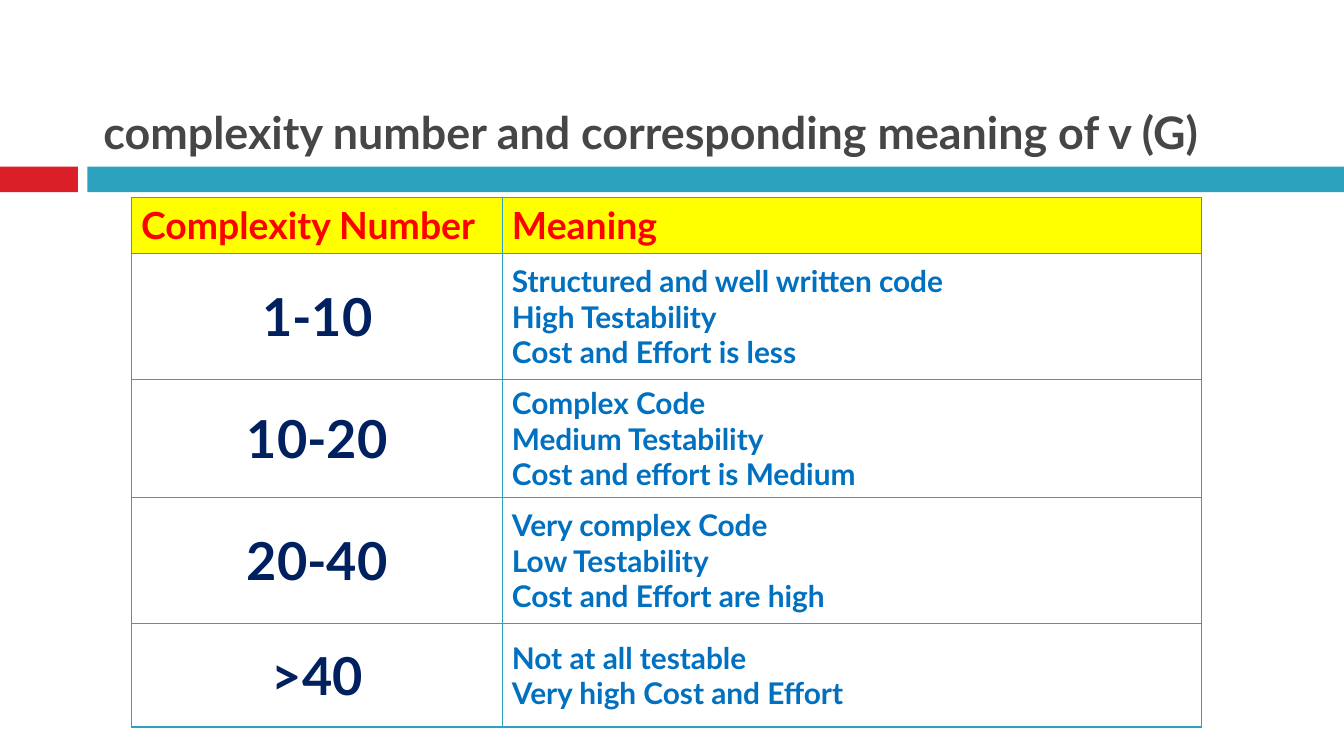
"""Build the slide on complexity numbers and what they mean."""
from lxml.etree import SubElement
from pptx import Presentation
from pptx.dml.color import RGBColor
from pptx.enum.shapes import MSO_SHAPE
from pptx.enum.text import MSO_ANCHOR, PP_ALIGN
from pptx.oxml.ns import qn
from pptx.util import Inches, Pt

RED = RGBColor(0xDA, 0x1F, 0x28)
TEAL = RGBColor(0x2D, 0xA2, 0xBF)
GREY = RGBColor(0x46, 0x46, 0x46)
YELLOW = RGBColor(0xFF, 0xFF, 0x00)
BRIGHT = RGBColor(0xFF, 0x00, 0x00)
NAVY = RGBColor(0x00, 0x20, 0x60)
BLUE = RGBColor(0x00, 0x70, 0xC0)


def write(frame, text, size, color, align=PP_ALIGN.LEFT):
    frame.text = text
    for par in frame.paragraphs:
        par.alignment = align
        for run in par.runs:
            run.font.name = "Lato"
            run.font.size = Pt(size)
            run.font.bold = True
            run.font.color.rgb = color


def border(cell, color, width):
    props = cell._tc.get_or_add_tcPr()
    for spot, side in enumerate(("lnL", "lnR", "lnT", "lnB")):
        line = SubElement(props, qn(f"a:{side}"), w=str(Pt(width)))
        fill = SubElement(line, qn("a:solidFill"))
        SubElement(fill, qn("a:srgbClr"), val=str(color))
        props.insert(spot, line)


deck = Presentation()
deck.slide_width = Inches(10)
deck.slide_height = Inches(10 * 9 / 16)
slide = deck.slides.add_slide(deck.slide_layouts[5])

for left, width, color in ((0, 0.58, RED), (0.65, 9.35, TEAL)):
    bar = slide.shapes.add_shape(
        MSO_SHAPE.RECTANGLE, Inches(left), Inches(1.24), Inches(width), Inches(0.19))
    bar.shadow.inherit = False
    bar.fill.solid()
    bar.fill.fore_color.rgb = color
    bar.line.fill.background()

title = slide.shapes.title
title.left, title.top = Inches(0.67), Inches(0.13)
title.width, title.height = Inches(8.92), Inches(1.1)
title.text_frame.vertical_anchor = MSO_ANCHOR.BOTTOM
write(title.text_frame, "complexity number and corresponding meaning of v (G)", 24, GREY)

rows = (
    (0.41, "Complexity Number", "Meaning"),
    (0.94, "1-10", "Structured and well written code\nHigh Testability\nCost and Effort is less"),
    (0.87, "10-20", "Complex Code\nMedium Testability\nCost and effort is Medium"),
    (0.94, "20-40", "Very complex Code\nLow Testability\nCost and Effort are high"),
    (0.77, ">40", "Not at all testable\nVery high Cost and Effort"),
)
head = {"size": 20, "color": BRIGHT}
styles = (
    {"size": 28, "color": NAVY, "align": PP_ALIGN.CENTER},
    {"size": 16, "color": BLUE},
)
table = slide.shapes.add_table(
    len(rows), 2, Inches(0.98), Inches(1.47), Inches(7.95), Inches(3.94)).table
table.horz_banding = False
table.columns[0].width, table.columns[1].width = Inches(2.76), Inches(5.2)

for r, (height, *texts) in enumerate(rows):
    table.rows[r].height = Inches(height)
    for c, text in enumerate(texts):
        cell = table.cell(r, c)
        cell.vertical_anchor = MSO_ANCHOR.MIDDLE
        cell.margin_left = cell.margin_right = Inches(0.07)
        cell.margin_top = cell.margin_bottom = Inches(0.04)
        if r == 0:
            cell.fill.solid()
            cell.fill.fore_color.rgb = YELLOW
        else:
            cell.fill.background()
        border(cell, TEAL, 1)
        write(cell.text_frame, text, **(styles[c] if r else head))

deck.save("out.pptx")
